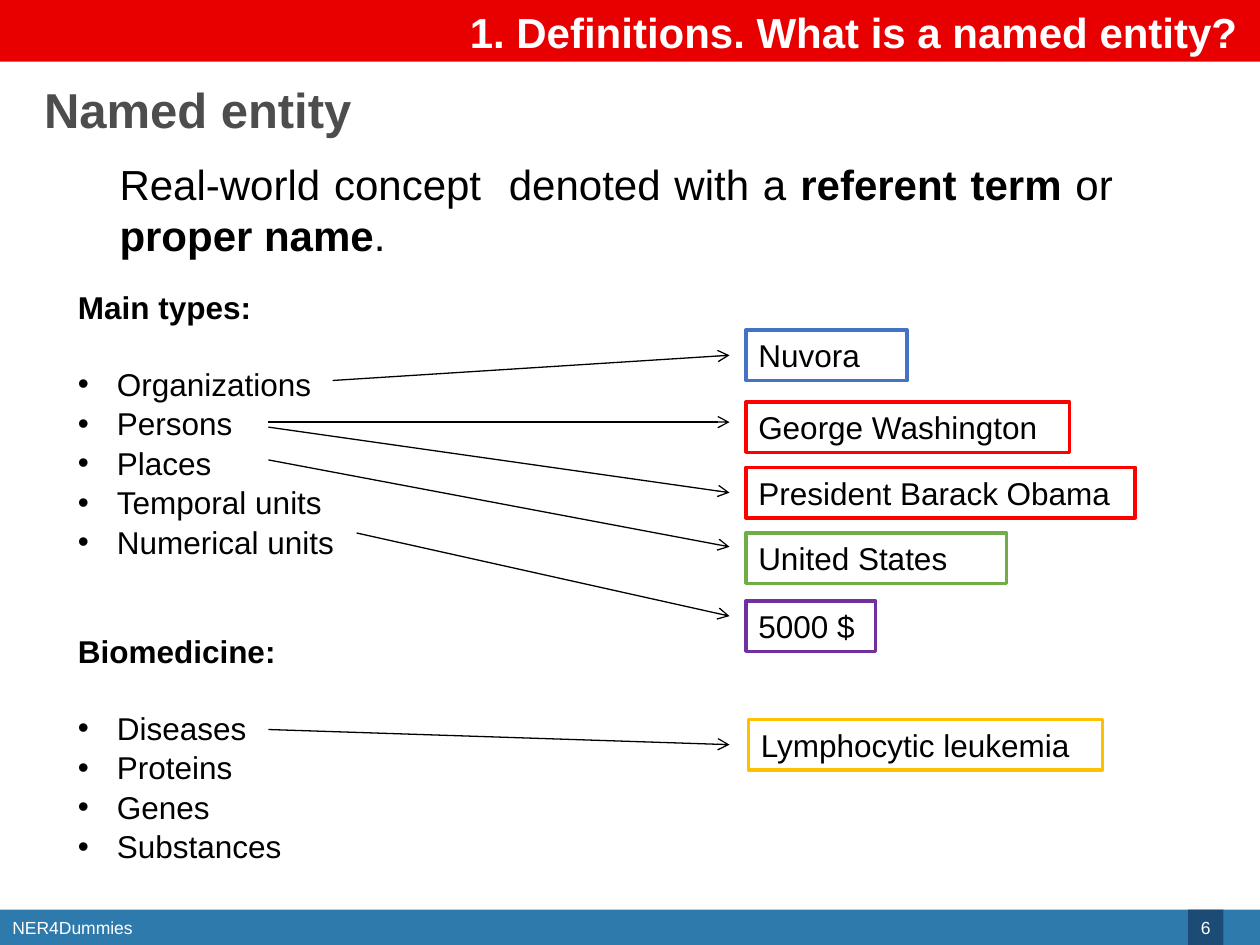
"""Build the named entity definition slide."""
from dataclasses import dataclass

from lxml import etree
from pptx import Presentation
from pptx.dml.color import RGBColor
from pptx.enum.shapes import MSO_CONNECTOR, MSO_SHAPE
from pptx.enum.text import MSO_ANCHOR, PP_ALIGN
from pptx.oxml.ns import qn
from pptx.util import Inches, Pt

RECTANGLE = MSO_SHAPE.RECTANGLE
STRAIGHT = MSO_CONNECTOR.STRAIGHT
TOP, MIDDLE = MSO_ANCHOR.TOP, MSO_ANCHOR.MIDDLE
LEFT, CENTER, RIGHT, JUSTIFY = PP_ALIGN.LEFT, PP_ALIGN.CENTER, PP_ALIGN.RIGHT, PP_ALIGN.JUSTIFY


@dataclass(frozen=True)
class Theme:
    """Hold the colours and type sizes of the slide."""
    font: str = "Arial"
    small: int = 10
    body: int = 18
    lead: int = 24
    heading: int = 28
    white: str = "FFFFFF"
    black: str = "000000"
    grey: str = "4D4D4D"
    red_band: str = "E80000"
    blue_band: str = "2F7AAD"
    number_fill: str = "1C4C76"
    organization: str = "4472C4"
    person: str = "FF0000"
    place: str = "70AD47"
    quantity: str = "7030A0"
    disease: str = "FFC000"


THEME = Theme()

TITLE = "1. Definitions. What is a named entity?"
HEADING = "Named entity"
FOOTER = "NER4Dummies"
PAGE_NUMBER = "6"
DEFINITION = [
    ("Real-world concept  denoted with a ", False),
    ("referent term", True),
    (" or", False),
    (" proper name", True),
    (".", False),
]
TYPE_LISTS = [
    ("Main types:", (0.52, 2.24, 2.31, 2.22),
     ["Organizations", "Persons", "Places", "Temporal units", "Numerical units"]),
    ("Biomedicine:", (0.52, 4.97, 2.98, 1.92),
     ["Diseases", "Proteins", "Genes", "Substances"]),
]
EXAMPLES = [
    ("Nuvora", THEME.organization, (5.92, 2.62, 1.28), (2.64, 3.02), 2.82),
    ("George Washington", THEME.person, (5.92, 3.19, 2.57), (2.13, 3.35), 3.35),
    ("President Barack Obama", THEME.person, (5.92, 3.71, 3.09), (2.13, 3.39), 3.91),
    ("United States", THEME.place, (5.92, 4.23, 2.07), (2.13, 3.65), 4.34),
    ("5000 $", THEME.quantity, (5.92, 4.77, 1.03), (2.83, 4.23), 4.89),
    ("Lymphocytic leukemia", THEME.disease, (5.94, 5.71, 2.81), (2.13, 5.79), 5.91),
]
EXAMPLE_HEIGHT = 0.4
ARROW_END = 5.79
BULLET_INDENT = 0.31
BULLET_GAP, LIST_GAP = 1, 22


def add_block(page, area, fill, outline=None):
    """Add a filled rectangle with an optional outline."""
    block = page.shapes.add_shape(RECTANGLE, *map(Inches, area))
    block.shadow.inherit = False
    block.fill.solid()
    block.fill.fore_color.rgb = RGBColor.from_string(fill)
    if outline:
        block.line.color.rgb = RGBColor.from_string(outline)
        block.line.width = Pt(2)
    else:
        block.line.fill.background()
    return block


def set_frame(box, anchor=TOP, insets=(0.1, 0.05)):
    """Set the wrapping, anchor and insets of a box and return its text frame."""
    frame = box.text_frame
    across, down = map(Inches, insets)
    settings = {
        "word_wrap": True, "vertical_anchor": anchor,
        "margin_left": across, "margin_right": across,
        "margin_top": down, "margin_bottom": down,
    }
    for name, value in settings.items():
        setattr(frame, name, value)
    return frame


def write(para, spans, size, color, align=LEFT):
    """Write spans of text and boldness into a paragraph."""
    para.alignment = align
    for text, bold in spans:
        span = para.add_run()
        span.text = text
        for name, value in {"name": THEME.font, "size": Pt(size), "bold": bold}.items():
            setattr(span.font, name, value)
        span.font.color.rgb = RGBColor.from_string(color)


def add_text(page, area, spans, size, color, align=LEFT, **frame_format):
    """Add a text box with one paragraph and return its text frame."""
    frame = set_frame(page.shapes.add_textbox(*map(Inches, area)), **frame_format)
    write(frame.paragraphs[0], spans, size, color, align)
    return frame


def add_type_list(page, label, area, items):
    """Add a bold label followed by a bulleted list."""
    frame = add_text(page, area, [(label, True)], THEME.body, THEME.black)
    for index, item in enumerate(items):
        para = frame.add_paragraph()
        properties = para._p.get_or_add_pPr()
        properties.set("marL", str(Inches(BULLET_INDENT)))
        properties.set("indent", str(-Inches(BULLET_INDENT)))
        etree.SubElement(properties, qn("a:buFont"), typeface=THEME.font)
        etree.SubElement(properties, qn("a:buChar"), char="•")
        para.space_before = Pt(BULLET_GAP if index else LIST_GAP)
        write(para, [(item, False)], THEME.body, THEME.black)


def add_arrow(page, start, end):
    """Add a thin black line with an open arrowhead at its end."""
    arrow = page.shapes.add_connector(STRAIGHT, *map(Inches, (*start, *end)))
    arrow.line.color.rgb = RGBColor.from_string(THEME.black)
    arrow.line.width = Pt(0.75)
    etree.SubElement(arrow.line._get_or_add_ln(), qn("a:tailEnd"), type="arrow")
    etree.SubElement(arrow._element.spPr, qn("a:effectLst"))


def main():
    """Build and save the deck."""
    deck = Presentation()
    deck.slide_width, deck.slide_height = Inches(10), Inches(7.5)
    page = deck.slides.add_slide(deck.slide_layouts[6])

    add_block(page, (0, 7.22, 10, 0.28), THEME.blue_band)
    add_block(page, (0, -0.01, 10, 0.5), THEME.red_band)
    add_text(page, (0, 7.22, 4.48, 0.28), [(FOOTER, False)], THEME.small, THEME.white,
             anchor=MIDDLE)
    add_text(page, (1.42, 0.09, 8.5, 0.33), [(TITLE, True)], THEME.lead, THEME.white, RIGHT,
             anchor=MIDDLE)
    add_text(page, (0.31, 0.58, 9.61, 0.64), [(HEADING, True)], THEME.heading, THEME.grey,
             insets=(0.04, 0.05))
    add_text(page, (0.85, 1.21, 8.08, 0.91), DEFINITION, THEME.lead, THEME.black, JUSTIFY)

    for label, area, items in TYPE_LISTS:
        add_type_list(page, label, area, items)

    for text, color, place, start, tip in EXAMPLES:
        box = add_block(page, (*place, EXAMPLE_HEIGHT), THEME.white, color)
        write(set_frame(box).paragraphs[0], [(text, False)], THEME.body, THEME.black)
        add_arrow(page, start, (ARROW_END, tip))

    number = add_block(page, (9.43, 7.22, 0.28, 0.28), THEME.number_fill)
    write(set_frame(number, MIDDLE, (0.04, 0.04)).paragraphs[0], [(PAGE_NUMBER, False)],
          THEME.small, THEME.white, CENTER)

    deck.save("out.pptx")


if __name__ == "__main__":
    main()
